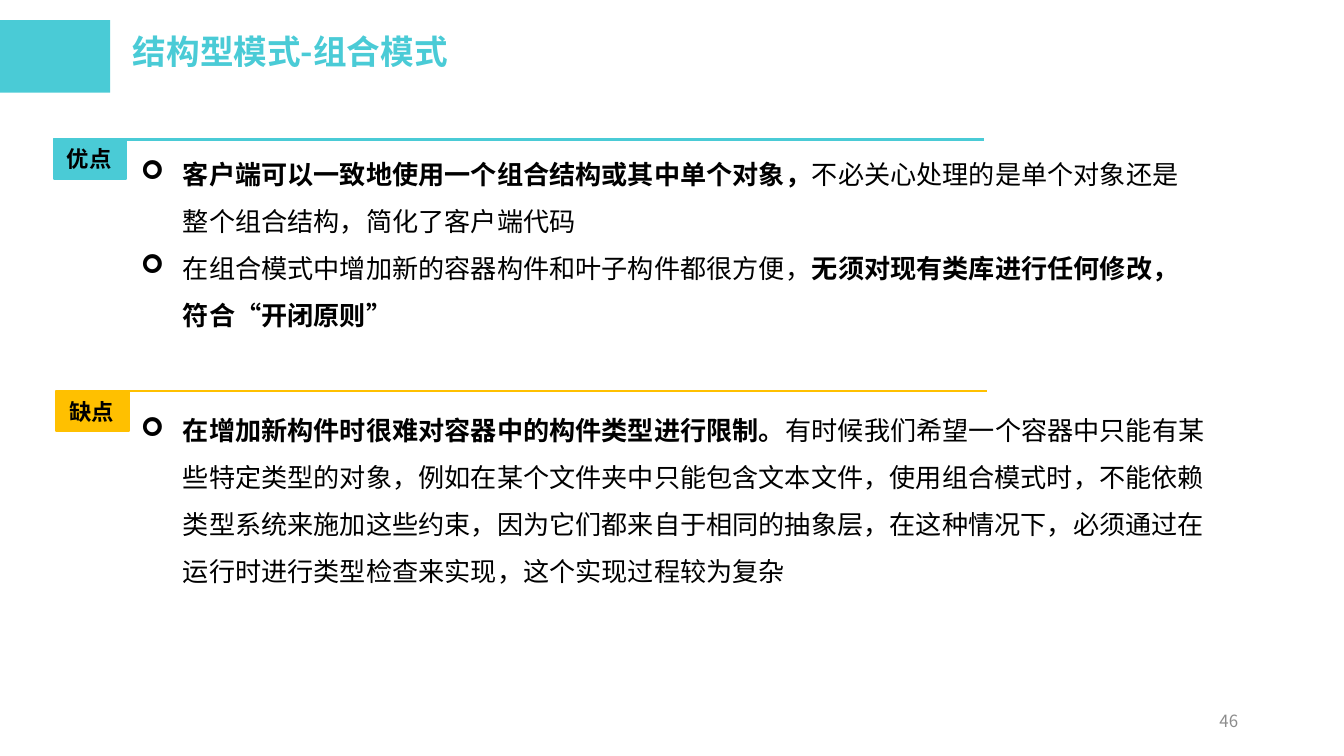
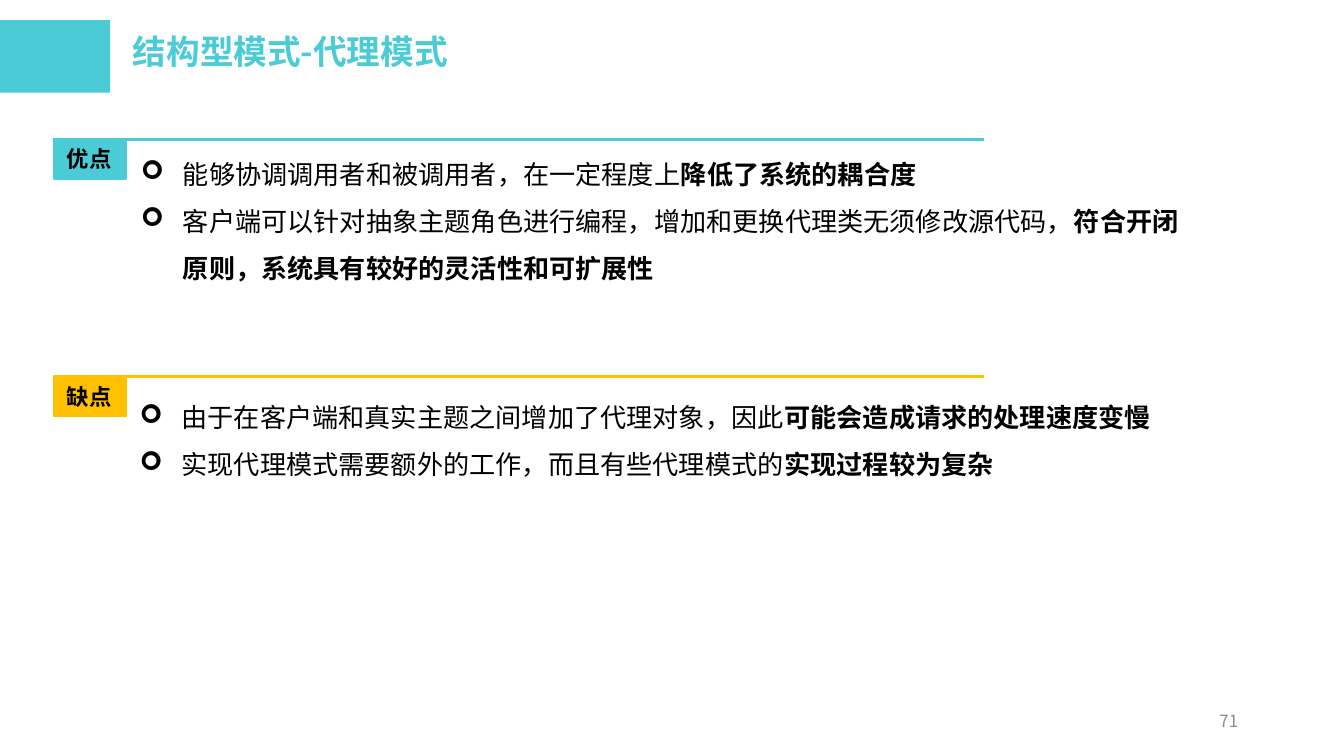
from lxml.etree import SubElement
from pptx import Presentation
from pptx.dml.color import RGBColor
from pptx.enum.shapes import MSO_CONNECTOR as Connector, MSO_SHAPE as Shape
from pptx.enum.text import MSO_ANCHOR as Anchor, MSO_AUTO_SIZE as AutoSize, PP_ALIGN as Align
from pptx.oxml.ns import qn
from pptx.util import Pt

FONT = "Noto Sans CJK SC"
TEAL, AMBER, BLACK, GREY = "4ACBD6", "FFC000", "000000", "8C8C8C"


def color(hex_text):
    return RGBColor.from_string(hex_text)


class Deck:
    """Shared style and the slide being drawn."""

    label_width, label_height = 38.9, 21.6
    rule_length = 459.4
    bullet_indent = 22.5

    def __init__(self):
        self.presentation = Presentation()
        self.presentation.slide_width = Pt(720)
        self.presentation.slide_height = Pt(405)
        self.slide = None

    def new_slide(self, title, number):
        self.slide = self.presentation.slides.add_slide(self.presentation.slide_layouts[6])
        # Corner band, title and page number
        self.rectangle(0, 10.8, 59, 38.9, TEAL)
        paragraph = self.text_box(64.1, 17.3, 289.4, 33.1).paragraphs[0]
        paragraph.line_spacing = 0.8
        self.add_text(paragraph, title, 18, TEAL, bold=True)
        frame = self.text_box(508.3, 375.1, 162, 21.6)
        frame.vertical_anchor = Anchor.MIDDLE
        frame.paragraphs[0].alignment = Align.RIGHT
        self.add_text(frame.paragraphs[0], str(number), 9, GREY)

    def style(self, paragraph, size, hex_text, bold=None):
        font = paragraph.font
        font.size, font.name, font.bold = Pt(size), FONT, bold
        font.color.rgb = color(hex_text)
        # East Asian characters take their own typeface
        SubElement(font._element, qn("a:ea"), typeface=FONT)

    def add_text(self, paragraph, text, size, hex_text, bold=None):
        paragraph.add_run().text = text
        self.style(paragraph, size, hex_text, bold)

    def rectangle(self, left, top, width, height, fill):
        shape = self.slide.shapes.add_shape(
            Shape.RECTANGLE, Pt(left), Pt(top), Pt(width), Pt(height))
        shape.shadow.inherit = False
        shape.fill.solid()
        shape.fill.fore_color.rgb = color(fill)
        shape.line.fill.background()
        return shape

    def text_box(self, left, top, width, height):
        frame = self.slide.shapes.add_textbox(
            Pt(left), Pt(top), Pt(width), Pt(height)).text_frame
        frame.word_wrap = True
        return frame

    def rule(self, left, top, hex_text):
        line = self.slide.shapes.add_connector(
            Connector.STRAIGHT, Pt(left), Pt(top), Pt(left + self.rule_length), Pt(top))
        line.line.color.rgb = color(hex_text)
        line.line.width = Pt(1.5)
        SubElement(line._element.spPr, qn("a:effectLst"))

    def heading(self, text, left, top, hex_text, rule_drop=0):
        """Label with a rule running right from its top corner."""
        label = self.rectangle(left, top, self.label_width, self.label_height, hex_text)
        label.line.color.rgb = color(hex_text)
        label.line.width = Pt(1)
        frame = label.text_frame
        frame.word_wrap = False
        frame.auto_size = AutoSize.SHAPE_TO_FIT_TEXT
        frame.vertical_anchor = Anchor.TOP
        frame.paragraphs[0].alignment = Align.LEFT
        self.add_text(frame.paragraphs[0], text, 12, BLACK, bold=True)
        self.rule(left + self.label_width, top + rule_drop, hex_text)

    def bullets(self, left, top, width, height, items):
        """Each item is a list of (text, bold) pairs."""
        frame = self.text_box(left, top, width, height)
        frame.auto_size = AutoSize.SHAPE_TO_FIT_TEXT
        for index, item in enumerate(items):
            paragraph = frame.add_paragraph() if index else frame.paragraphs[0]
            paragraph.line_spacing = 1.5
            properties = paragraph._p.get_or_add_pPr()
            properties.set("marL", str(Pt(self.bullet_indent)))
            properties.set("indent", str(-Pt(self.bullet_indent)))
            SubElement(properties, qn("a:buFont"), typeface="Wingdings")
            SubElement(properties, qn("a:buChar"), char="➢")
            for text, bold in item:
                run = paragraph.add_run()
                run.text = text
                run.font.bold = bold
            self.style(paragraph, 14, BLACK)

    def advantages(self, height, items):
        self.heading("优点", 28.8, 74.2, TEAL, rule_drop=0.7)
        self.bullets(68.4, 72.7, 577.4, height, items)

    def drawbacks(self, label_left, label_top, left, top, height, items):
        self.heading("缺点", label_left, label_top, AMBER)
        self.bullets(left, top, 588.2, height, items)


def main():
    deck = Deck()

    # Composite pattern
    deck.new_slide("结构型模式-组合模式", 46)
    deck.advantages(108.7, [
        [("客户端可以一致地使用一个组合结构或其中单个对象，", True),
         ("不必关心处理的是单个对象还是整个组合结构，简化了客户端代码", False)],
        [("在组合模式中增加新的容器构件和叶子构件都很方便，", False),
         ("无须对现有类库进行任何修改，符合“开闭原则”", True)],
    ])
    deck.drawbacks(30.2, 209.5, 68.4, 210.2, 108.7, [
        [("在增加新构件时很难对容器中的构件类型进行限制。", True),
         ("有时候我们希望一个容器中只能有某些特定类型的对象，"
          "例如在某个文件夹中只能包含文本文件，使用组合模式时，"
          "不能依赖类型系统来施加这些约束，因为它们都来自于相同的抽象层，"
          "在这种情况下，必须通过在运行时进行类型检查来实现，"
          "这个实现过程较为复杂", False)],
    ])

    # Proxy pattern
    deck.new_slide("结构型模式-代理模式", 71)
    deck.advantages(83.5, [
        [("能够协调调用者和被调用者，在一定程度上", False), ("降低了系统的耦合度", True)],
        [("客户端可以针对抽象主题角色进行编程，增加和更换代理类无须修改源代码，", False),
         ("符合开闭原则，系统具有较好的灵活性和可扩展性", True)],
    ])
    deck.drawbacks(28.8, 201.6, 67.7, 203, 58.3, [
        [("由于在客户端和真实主题之间增加了代理对象，因此", False),
         ("可能会造成请求的处理速度变慢", True)],
        [("实现代理模式需要额外的工作，而且有些代理模式的", False),
         ("实现过程较为复杂", True)],
    ])

    deck.presentation.save("out.pptx")


if __name__ == "__main__":
    main()
